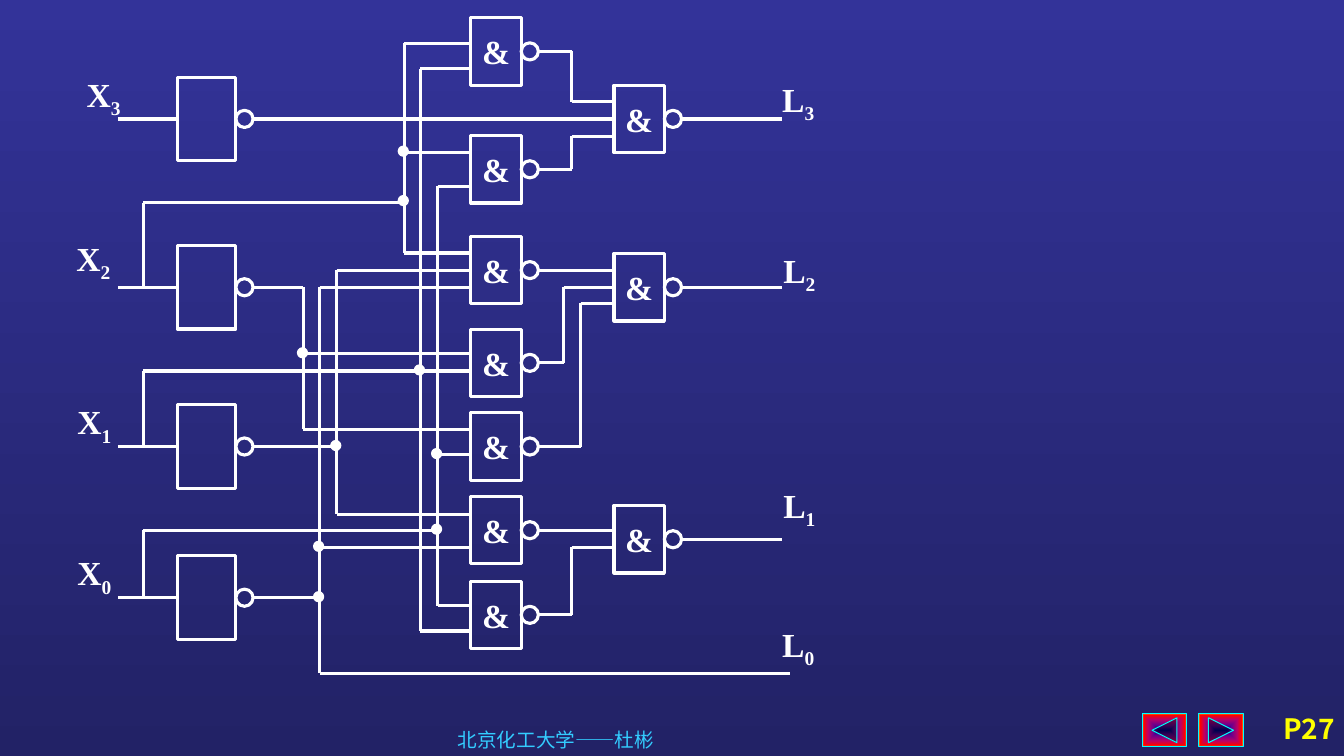
from dataclasses import dataclass

from lxml import etree
from pptx import Presentation
from pptx.dml.color import RGBColor
from pptx.enum.shapes import MSO_CONNECTOR, MSO_SHAPE
from pptx.enum.text import MSO_ANCHOR, MSO_AUTO_SIZE, PP_ALIGN
from pptx.oxml.ns import qn
from pptx.util import Inches, Pt

STRAIGHT = MSO_CONNECTOR.STRAIGHT
RECTANGLE, OVAL = MSO_SHAPE.RECTANGLE, MSO_SHAPE.OVAL
BACK = MSO_SHAPE.ACTION_BUTTON_BACK_OR_PREVIOUS
FORWARD = MSO_SHAPE.ACTION_BUTTON_FORWARD_OR_NEXT
LEFT, CENTER, RIGHT = PP_ALIGN.LEFT, PP_ALIGN.CENTER, PP_ALIGN.RIGHT
TOP, MIDDLE, BOTTOM = MSO_ANCHOR.TOP, MSO_ANCHOR.MIDDLE, MSO_ANCHOR.BOTTOM
FIT_TEXT = MSO_AUTO_SIZE.SHAPE_TO_FIT_TEXT

SERIF, SANS = "Times New Roman", "Noto Sans CJK SC"
WHITE, CYAN, YELLOW, SKY = "FFFFFF", "00FFFF", "FFFF00", "33CCFF"
BUTTON_STOPS = [(0, "000082"), (30, "66008F"), (65, "BA0066"), (90, "FF0000"), (100, "FF8200")]
BUBBLE, DOT = 0.17, 0.08
LEFT_SIDE = 1


@dataclass(frozen=True)
class Gate:
    left: float
    middle: float
    width: float = 0.5
    height: float = 0.67
    symbol: str = "&"


@dataclass(frozen=True)
class Label:
    letter: str
    index: str
    left: float
    top: float


@dataclass(frozen=True)
class Wire:
    points: tuple[tuple[float, float], ...]


# Columns: inverters, first-level gates, output gates
INVERTER_X, GATE_X, OUTPUT_X = 1.76, 4.67, 6.09
LEAD_X, TAP_X, INVERTED_X = 1.17, 1.42, 2.51
GATE_OUT_X, OUTPUT_OUT_X, OUTPUT_END_X = 5.34, 6.76, 7.76
# Vertical buses: the inputs and their inverses
X2_BUS, X1_BUS, X0_BUS = 4.01, 4.17, 4.34
NOT_X2_BUS, NOT_X0_BUS, NOT_X1_BUS = 3.01, 3.17, 3.34

INVERTERS = [Gate(INVERTER_X, y, 0.58, 0.83, "") for y in (1.18, 2.85, 4.43, 5.93)]
FIRST_GATES = [Gate(GATE_X, y) for y in (0.51, 1.68, 2.68, 3.6, 4.43, 5.26, 6.1)]
OUTPUT_GATES = [Gate(OUTPUT_X, y) for y in (1.18, 2.85, 5.35)]

LABELS = [
    Label("X", "3", 0.76, 0.68), Label("X", "2", 0.66, 2.31),
    Label("X", "1", 0.67, 3.93), Label("X", "0", 0.67, 5.43),
    Label("L", "3", 7.66, 0.73), Label("L", "2", 7.67, 2.43),
    Label("L", "1", 7.67, 4.76), Label("L", "0", 7.66, 6.14),
]

WIRES = [
    *(Wire(((LEAD_X, gate.middle), (INVERTER_X, gate.middle))) for gate in INVERTERS),
    *(Wire(((OUTPUT_OUT_X, gate.middle), (OUTPUT_END_X, gate.middle))) for gate in OUTPUT_GATES),
    # X2, X1 and X0
    Wire(((TAP_X, 2.85), (TAP_X, 2.01), (X2_BUS, 2.01), (X2_BUS, 0.43), (GATE_X, 0.43))),
    Wire(((X2_BUS, 1.51), (GATE_X, 1.51))),
    Wire(((X2_BUS, 2.01), (X2_BUS, 2.51), (GATE_X, 2.51))),
    Wire(((TAP_X, 4.43), (TAP_X, 3.68), (X1_BUS, 3.68), (X1_BUS, 0.68), (GATE_X, 0.68))),
    Wire(((X1_BUS, 3.68), (GATE_X, 3.68))),
    Wire(((X1_BUS, 3.68), (X1_BUS, 6.26), (GATE_X, 6.26))),
    Wire(((TAP_X, 5.93), (TAP_X, 5.26), (X0_BUS, 5.26), (X0_BUS, 1.85), (GATE_X, 1.85))),
    Wire(((X0_BUS, 4.51), (GATE_X, 4.51))),
    Wire(((X0_BUS, 5.26), (X0_BUS, 6.01), (GATE_X, 6.01))),
    # Inverted X3, X2, X1 and X0
    Wire(((INVERTED_X, 1.18), (OUTPUT_X, 1.18))),
    Wire(((INVERTED_X, 2.85), (NOT_X2_BUS, 2.85), (NOT_X2_BUS, 3.51), (GATE_X, 3.51))),
    Wire(((NOT_X2_BUS, 3.51), (NOT_X2_BUS, 4.26), (GATE_X, 4.26))),
    Wire(((INVERTED_X, 4.43), (NOT_X1_BUS, 4.43), (NOT_X1_BUS, 2.68), (GATE_X, 2.68))),
    Wire(((NOT_X1_BUS, 4.43), (NOT_X1_BUS, 5.1), (GATE_X, 5.1))),
    Wire(((INVERTED_X, 5.93), (NOT_X0_BUS, 5.93), (NOT_X0_BUS, 2.85), (GATE_X, 2.85))),
    Wire(((NOT_X0_BUS, 5.43), (GATE_X, 5.43))),
    Wire(((NOT_X0_BUS, 5.93), (NOT_X0_BUS, 6.68), (7.84, 6.68))),
    # First-level gates to output gates
    Wire(((GATE_OUT_X, 0.51), (5.67, 0.51), (5.67, 1.01), (OUTPUT_X, 1.01))),
    Wire(((GATE_OUT_X, 1.68), (5.67, 1.68), (5.67, 1.35), (OUTPUT_X, 1.35))),
    Wire(((GATE_OUT_X, 2.68), (OUTPUT_X, 2.68))),
    Wire(((GATE_OUT_X, 3.6), (5.59, 3.6), (5.59, 2.85), (OUTPUT_X, 2.85))),
    Wire(((GATE_OUT_X, 4.43), (5.76, 4.43), (5.76, 3.01), (OUTPUT_X, 3.01))),
    Wire(((GATE_OUT_X, 5.26), (OUTPUT_X, 5.26))),
    Wire(((GATE_OUT_X, 6.1), (5.67, 6.1), (5.67, 5.43), (OUTPUT_X, 5.43))),
]

JUNCTIONS = [
    (X2_BUS, 1.51), (X2_BUS, 2.0), (X1_BUS, 3.68), (X0_BUS, 4.51), (X0_BUS, 5.26),
    (NOT_X2_BUS, 3.51), (NOT_X1_BUS, 4.43), (NOT_X0_BUS, 5.43), (NOT_X0_BUS, 5.93),
]


def color(value: str) -> RGBColor:
    return RGBColor.from_string(value)


def write_text(shape, text: str, *, subscript: str = "", size: float = 24, font: str = SERIF,
               fill: str = WHITE, bold: bool = True, align=LEFT, anchor=TOP,
               wrap: bool = False) -> None:
    frame = shape.text_frame
    frame.word_wrap = wrap
    frame.vertical_anchor = anchor
    paragraph = frame.paragraphs[0]
    paragraph.alignment = align
    for part in filter(None, (text, subscript)):
        run = paragraph.add_run()
        run.text = part
        run.font.size, run.font.name, run.font.bold = Pt(size), font, bold
        run.font.color.rgb = color(fill)
    if subscript:
        run.font._element.set("baseline", "-25000")


def add_text_box(slide, left: float, top: float, width: float, height: float, text: str, **style):
    box = slide.shapes.add_textbox(Inches(left), Inches(top), Inches(width), Inches(height))
    write_text(box, text, **style)
    return box


def add_outline(slide, kind, left: float, top: float, width: float, height: float, *,
                line: str = WHITE, weight: float = 2.25, fill: str = ""):
    shape = slide.shapes.add_shape(kind, Inches(left), Inches(top), Inches(width), Inches(height))
    shape.shadow.inherit = False
    shape.line.color.rgb = color(line)
    shape.line.width = Pt(weight)
    if fill:
        shape.fill.solid()
        shape.fill.fore_color.rgb = color(fill)
    else:
        shape.fill.background()
    return shape


def add_gate(slide, gate: Gate):
    body = add_outline(slide, RECTANGLE, gate.left, gate.middle - gate.height / 2,
                       gate.width, gate.height)
    if gate.symbol:
        write_text(body, gate.symbol, align=CENTER, anchor=MIDDLE)
    add_outline(slide, OVAL, gate.left + gate.width, gate.middle - BUBBLE / 2, BUBBLE, BUBBLE)
    return body


def add_wire(slide, wire: Wire, bodies: dict) -> None:
    for start, end in zip(wire.points, wire.points[1:]):
        line = slide.shapes.add_connector(STRAIGHT, *(Inches(value) for value in start + end))
        line.line.color.rgb = color(WHITE)
        line.line.width = Pt(2.25)
        etree.SubElement(line._element.spPr, qn("a:effectLst"))
        if end in bodies:
            line.end_connect(bodies[end], LEFT_SIDE)


def add_button(slide, kind, left: float) -> None:
    button = add_outline(slide, kind, left, 7.08, 0.44, 0.33, line=CYAN, weight=0.75)
    button.fill.gradient()
    gradient = button._element.spPr.find(qn("a:gradFill"))
    for child in list(gradient):
        gradient.remove(child)
    stops = etree.SubElement(gradient, qn("a:gsLst"))
    for position, value in BUTTON_STOPS:
        stop = etree.SubElement(stops, qn("a:gs"), pos=str(position * 1000))
        etree.SubElement(stop, qn("a:srgbClr"), val=value)
    route = etree.SubElement(gradient, qn("a:path"), attrib={"path": "rect"})
    etree.SubElement(route, qn("a:fillToRect"), l="50000", t="50000", r="50000", b="50000")


def main() -> None:
    presentation = Presentation()
    presentation.slide_width, presentation.slide_height = Inches(13.33), Inches(7.5)
    slide = presentation.slides.add_slide(presentation.slide_layouts[6])

    # Background
    background = slide.background.fill
    background.gradient()
    background.gradient_angle = 270
    for stop, value in zip(background.gradient_stops, ("333399", "222266")):
        stop.color.rgb = color(value)

    # Footer and navigation
    add_text_box(slide, 10.56, 7.11, 2.78, 0.33, "P27", size=20, font=SANS, fill=YELLOW,
                 align=RIGHT, anchor=BOTTOM, wrap=True)
    add_button(slide, FORWARD, 11.89)
    add_button(slide, BACK, 11.33)
    add_text_box(slide, 4.44, 7.17, 4.22, 0.33, "北京化工大学——杜彬", size=14, fill=SKY,
                 bold=False, wrap=True)

    # Circuit
    bodies = {(gate.left, gate.middle): add_gate(slide, gate)
              for gate in INVERTERS + FIRST_GATES + OUTPUT_GATES}
    for wire in WIRES:
        add_wire(slide, wire, bodies)
    for x, y in JUNCTIONS:
        add_outline(slide, OVAL, x - 0.05, y - 0.05, DOT, DOT, fill=WHITE)
    for label in LABELS:
        box = add_text_box(slide, label.left, label.top, 0.55, 0.51, label.letter,
                           subscript=label.index)
        box.text_frame.auto_size = FIT_TEXT

    presentation.save("out.pptx")


if __name__ == "__main__":
    main()
